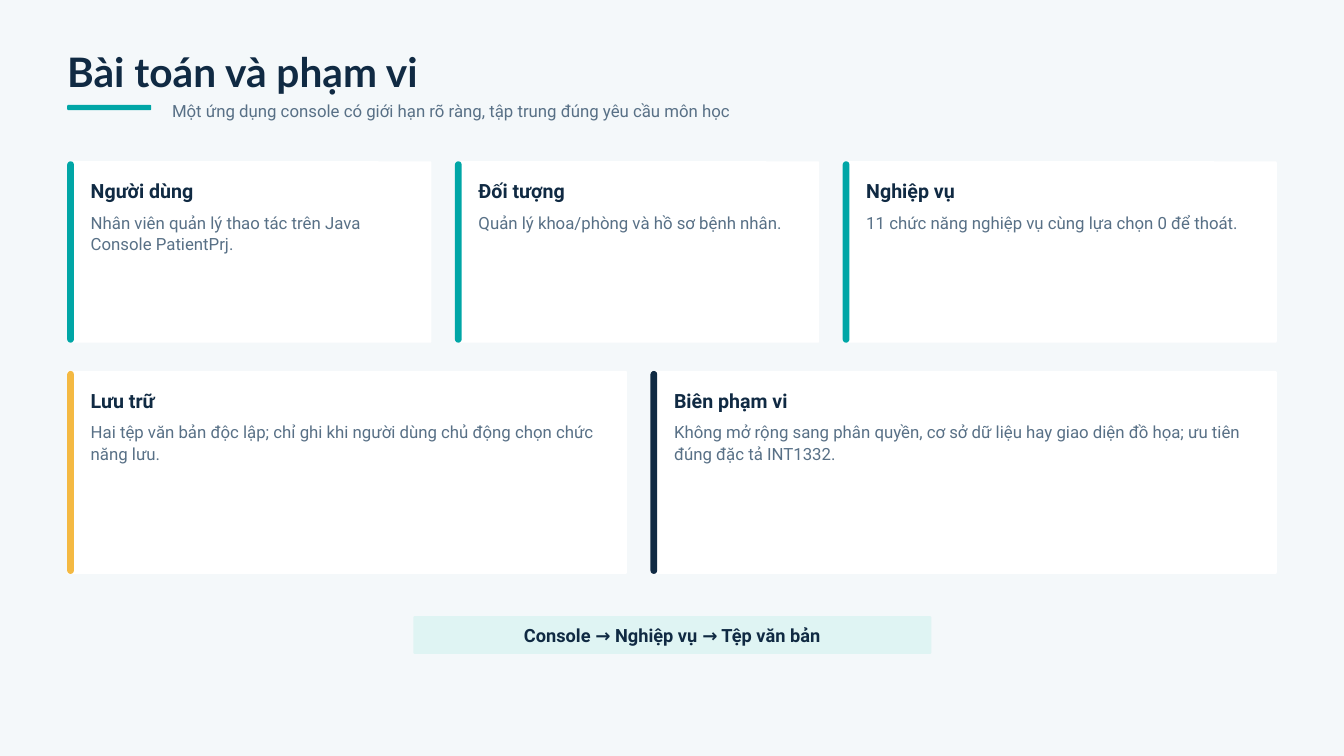
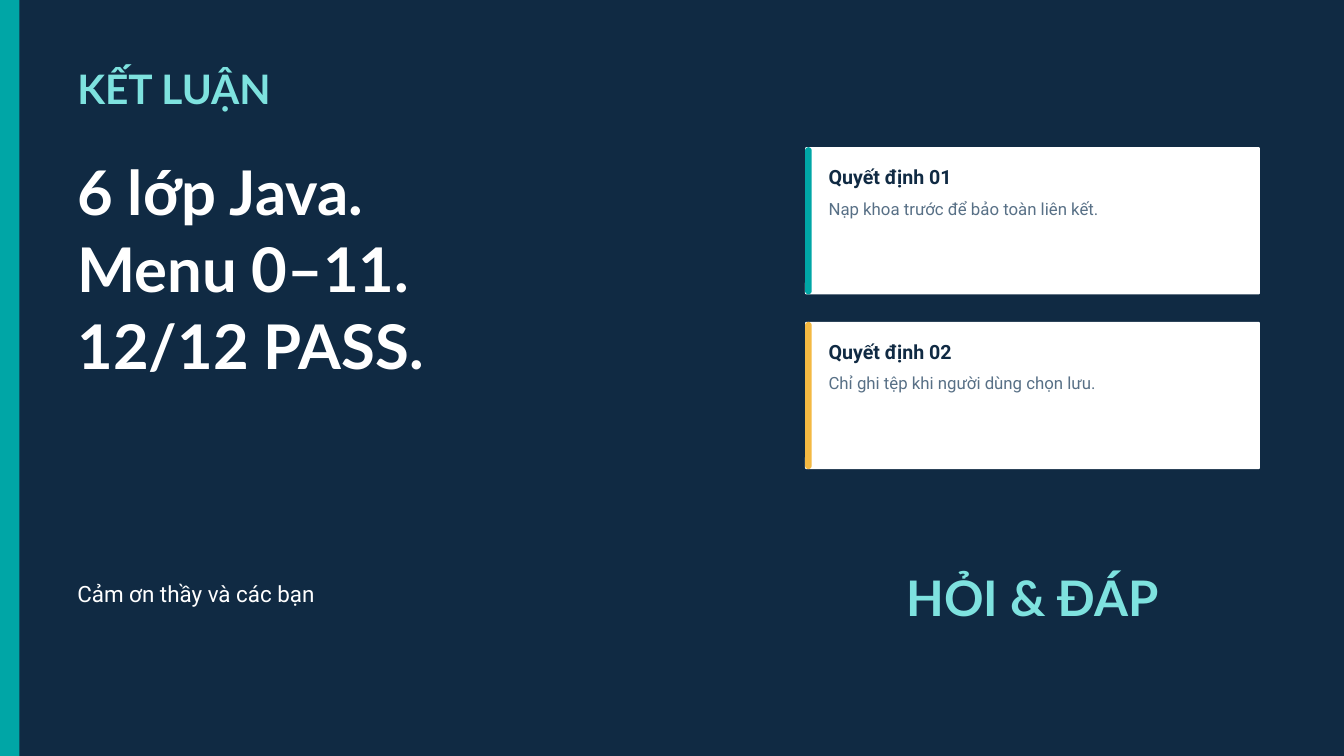
"""Build the scope slide and the closing slide of a Java console project talk."""
from dataclasses import dataclass

from lxml import etree
from pptx import Presentation
from pptx.dml.color import RGBColor
from pptx.enum import shapes, text
from pptx.oxml import ns
from pptx.util import Inches, Pt


@dataclass(frozen=True)
class Style:
    size: float
    color: RGBColor
    font: str = "Roboto"
    bold: bool = False
    align: text.PP_ALIGN = text.PP_ALIGN.LEFT


@dataclass(frozen=True)
class Theme:
    navy: RGBColor = RGBColor(0x10, 0x2A, 0x43)
    teal: RGBColor = RGBColor(0x00, 0xA6, 0xA6)
    amber: RGBColor = RGBColor(0xF4, 0xB9, 0x42)
    aqua: RGBColor = RGBColor(0x7E, 0xE2, 0xDF)
    mint: RGBColor = RGBColor(0xDF, 0xF4, 0xF3)
    slate: RGBColor = RGBColor(0x58, 0x70, 0x86)
    mist: RGBColor = RGBColor(0xF4, 0xF8, 0xFA)
    white: RGBColor = RGBColor(0xFF, 0xFF, 0xFF)
    title_font: str = "Lato"
    title_size: float = 43.5
    statement_size: float = 66
    question_size: float = 52.5
    thanks_size: float = 24
    heading_size: float = 21
    flow_size: float = 19.5
    detail_size: float = 18
    line_factor: float = 1.25


THEME = Theme()
HEADING = Style(THEME.heading_size, THEME.navy, bold=True)
DETAIL = Style(THEME.detail_size, THEME.slate)


@dataclass(frozen=True)
class Box:
    left: float
    top: float
    width: float
    height: float

    def lengths(self) -> tuple:
        return tuple(Inches(v) for v in (self.left, self.top, self.width, self.height))


@dataclass(frozen=True)
class Card:
    heading: str
    detail: str
    accent: RGBColor
    detail_lines: int = 1


def write(frame, words: str, style: Style, inset: float = 0) -> None:
    frame.text = words
    frame.word_wrap = True
    frame.auto_size = text.MSO_AUTO_SIZE.NONE
    frame.vertical_anchor = text.MSO_ANCHOR.MIDDLE if inset else text.MSO_ANCHOR.TOP
    frame.margin_left = frame.margin_right = Inches(inset)
    frame.margin_top = frame.margin_bottom = Inches(inset)
    for paragraph in frame.paragraphs:
        paragraph.alignment = style.align
        paragraph.line_spacing = Pt(style.size * THEME.line_factor)
        paragraph.space_before = Pt(0)
        for run in paragraph.runs:
            run.font.name = style.font
            run.font.size = Pt(style.size)
            run.font.bold = style.bold
            run.font.color.rgb = style.color


def add_text(parent, box: Box, words: str, style: Style) -> None:
    write(parent.add_textbox(*box.lengths()).text_frame, words, style)


def add_block(parent, box: Box, fill: RGBColor, radius: float = 0):
    kind = shapes.MSO_SHAPE.ROUNDED_RECTANGLE if radius else shapes.MSO_SHAPE.RECTANGLE
    block = parent.add_shape(kind, *box.lengths())
    if radius:
        block.adjustments[0] = radius / min(box.width, box.height)
    block.shadow.inherit = False
    block.fill.solid()
    block.fill.fore_color.rgb = fill
    block.line.fill.background()
    return block


def fill_placeholder(placeholder, box: Box, words: str, style: Style) -> None:
    placeholder.left, placeholder.top, placeholder.width, placeholder.height = box.lengths()
    write(placeholder.text_frame, words, style)


def add_card(slide, box: Box, card: Card) -> None:
    parts = slide.shapes.add_group_shape().shapes
    add_block(parts, box, THEME.white, 0.02)
    add_block(parts, Box(box.left, box.top, 0.1, box.height), card.accent, 0.05)
    left, width = box.left + 0.35, box.width - 0.67
    add_text(parts, Box(left, box.top + 0.25, width, 0.37), card.heading, HEADING)
    detail_box = Box(left, box.top + 0.75, width, 0.31 * card.detail_lines)
    add_text(parts, detail_box, card.detail, DETAIL)


def add_card_row(slide, top: float, height: float, width: float, cards: list[Card]) -> None:
    left, gap, right = 1, 0.35, 19
    for card in cards:
        card_width = right - left if card is cards[-1] else width
        add_card(slide, Box(left, top, card_width, height), card)
        left += width + gap


def add_slide(deck, layout: int, background: RGBColor):
    slide = deck.slides.add_slide(deck.slide_layouts[layout])
    slide.background.fill.solid()
    slide.background.fill.fore_color.rgb = background
    return slide


def title_style(color: RGBColor, size: float = THEME.title_size,
                align: text.PP_ALIGN = text.PP_ALIGN.LEFT) -> Style:
    return Style(size, color, THEME.title_font, True, align)


def build_scope(deck) -> None:
    slide = add_slide(deck, 5, THEME.mist)
    fill_placeholder(slide.shapes.title, Box(1, 0.67, 15.62, 0.74),
                     "Bài toán và phạm vi", title_style(THEME.navy))
    add_block(slide.shapes, Box(1, 1.56, 1.25, 0.08), THEME.teal, 0.02)
    add_text(slide.shapes, Box(2.56, 1.48, 15.62, 0.31),
             "Một ứng dụng console có giới hạn rõ ràng, tập trung đúng yêu cầu môn học", DETAIL)
    add_card_row(slide, 2.4, 2.7, 5.42, [
        Card("Người dùng", "Nhân viên quản lý thao tác trên Java Console PatientPrj.",
             THEME.teal, 2),
        Card("Đối tượng", "Quản lý khoa/phòng và hồ sơ bệnh nhân.", THEME.teal),
        Card("Nghiệp vụ", "11 chức năng nghiệp vụ cùng lựa chọn 0 để thoát.", THEME.teal),
    ])
    add_card_row(slide, 5.52, 3.02, 8.33, [
        Card("Lưu trữ", "Hai tệp văn bản độc lập; chỉ ghi khi người dùng chủ động chọn "
             "chức năng lưu.", THEME.amber, 2),
        Card("Biên phạm vi", "Không mở rộng sang phân quyền, cơ sở dữ liệu hay giao diện "
             "đồ họa; ưu tiên đúng đặc tả INT1332.", THEME.navy, 2),
    ])
    flow = add_block(slide.shapes, Box(6.15, 9.17, 7.71, 0.56), THEME.mint, 0.02)
    write(flow.text_frame, "Console → Nghiệp vụ → Tệp văn bản",
          Style(THEME.flow_size, THEME.navy, bold=True, align=text.PP_ALIGN.CENTER), 0.06)


def build_closing(deck) -> None:
    slide = add_slide(deck, 1, THEME.navy)
    add_block(slide.shapes, Box(0, 0, 0.29, 11.25), THEME.teal)
    fill_placeholder(slide.shapes.title, Box(1.15, 0.92, 9.38, 0.74),
                     "KẾT LUẬN", title_style(THEME.aqua))
    statements = slide.placeholders[1]
    fill_placeholder(statements, Box(1.15, 2.25, 10.42, 3.43),
                     "6 lớp Java.\nMenu 0–11.\n12/12 PASS.",
                     title_style(THEME.white, THEME.statement_size))
    for paragraph in statements.text_frame.paragraphs:
        properties = paragraph._p.get_or_add_pPr()
        properties.set("marL", "0")
        properties.set("indent", "0")
        etree.SubElement(properties, ns.qn("a:buNone"))
    decisions = [
        Card("Quyết định 01", "Nạp khoa trước để bảo toàn liên kết.", THEME.teal),
        Card("Quyết định 02", "Chỉ ghi tệp khi người dùng chọn lưu.", THEME.amber),
    ]
    for row, decision in enumerate(decisions):
        add_card(slide, Box(11.98, 2.19 + 2.6 * row, 6.77, 2.19), decision)
    add_text(slide.shapes, Box(1.15, 8.62, 9.38, 0.42), "Cảm ơn thầy và các bạn",
             Style(THEME.thanks_size, THEME.white))
    add_text(slide.shapes, Box(11.98, 8.41, 6.77, 0.9), "HỎI & ĐÁP",
             title_style(THEME.aqua, THEME.question_size, text.PP_ALIGN.CENTER))


def main() -> None:
    deck = Presentation()
    deck.slide_width, deck.slide_height = Inches(20), Inches(11.25)
    build_scope(deck)
    build_closing(deck)
    deck.save("out.pptx")


if __name__ == "__main__":
    main()
